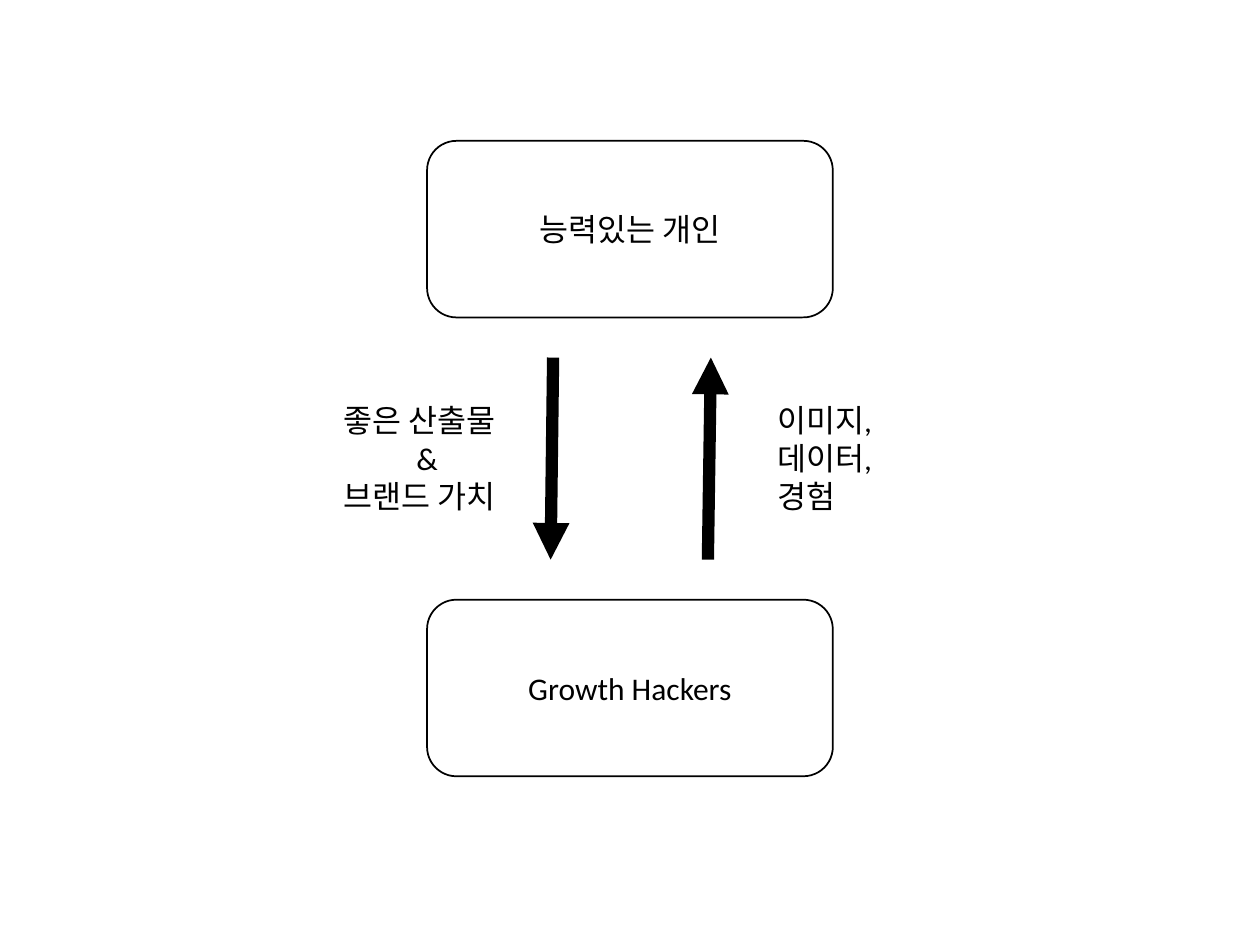
from pptx import Presentation
from pptx.dml.color import RGBColor
from pptx.enum.shapes import MSO_CONNECTOR, MSO_SHAPE
from pptx.enum.text import MSO_ANCHOR, PP_ALIGN
from pptx.oxml.ns import qn
from pptx.util import Cm, Pt
from lxml.etree import SubElement

THEME = {
    "font": "Calibri",
    "size": Pt(18),
    "ink": RGBColor(0, 0, 0),
    "paper": RGBColor(255, 255, 255),
    "outline": Pt(1),
    "arrow": Pt(7),
}
LEFT, CENTER = PP_ALIGN.LEFT, PP_ALIGN.CENTER

PARTIES = [("능력있는 개인", 2.84), ("Growth Hackers", 12.09)]
PARTY_LEFT, PARTY_WIDTH, PARTY_HEIGHT = 8.61, 8.18, 3.56

EXCHANGES = [
    {
        "lines": [("좋은 산출물", LEFT), ("&", CENTER), ("브랜드 가치", LEFT)],
        "left": 6.68, "width": 3.86,
        "top_x": 11.15, "bottom_x": 11.1, "downward": True,
    },
    {
        "lines": [("이미지,", LEFT), ("데이터,", LEFT), ("경험", LEFT)],
        "left": 15.42, "width": 2.74,
        "top_x": 14.33, "bottom_x": 14.27, "downward": False,
    },
]
GAP = 1.01
ARROW_TOP = PARTIES[0][1] + PARTY_HEIGHT + GAP * 0.8
ARROW_BOTTOM = PARTIES[1][1] - GAP * 0.8
LABEL_HEIGHT = 2.57
LABEL_TOP = (ARROW_TOP + ARROW_BOTTOM - LABEL_HEIGHT) / 2


def write(frame, lines, anchor=MSO_ANCHOR.TOP):
    frame.word_wrap = True
    frame.vertical_anchor = anchor
    for number, (text, align) in enumerate(lines):
        paragraph = frame.add_paragraph() if number else frame.paragraphs[0]
        paragraph.alignment = align
        run = paragraph.add_run()
        run.text = text
        run.font.name = THEME["font"]
        run.font.size = THEME["size"]
        run.font.color.rgb = THEME["ink"]


def draw_party(slide, name, top):
    party = slide.shapes.add_shape(
        MSO_SHAPE.ROUNDED_RECTANGLE,
        Cm(PARTY_LEFT), Cm(top), Cm(PARTY_WIDTH), Cm(PARTY_HEIGHT))
    party.shadow.inherit = False
    party.fill.solid()
    party.fill.fore_color.rgb = THEME["paper"]
    party.line.color.rgb = THEME["ink"]
    party.line.width = THEME["outline"]
    write(party.text_frame, [(name, CENTER)], anchor=MSO_ANCHOR.MIDDLE)


def draw_arrow(slide, start, end):
    arrow = slide.shapes.add_connector(
        MSO_CONNECTOR.STRAIGHT, *(Cm(value) for value in (*start, *end)))
    arrow.line.color.rgb = THEME["ink"]
    arrow.line.width = THEME["arrow"]
    SubElement(arrow.line._get_or_add_ln(), qn("a:tailEnd"), type="triangle")
    SubElement(arrow._element.spPr, qn("a:effectLst"))


def draw_exchange(slide, exchange):
    ends = [(exchange["top_x"], ARROW_TOP), (exchange["bottom_x"], ARROW_BOTTOM)]
    draw_arrow(slide, *(ends if exchange["downward"] else reversed(ends)))
    label = slide.shapes.add_textbox(
        Cm(exchange["left"]), Cm(LABEL_TOP),
        Cm(exchange["width"]), Cm(LABEL_HEIGHT))
    write(label.text_frame, exchange["lines"])


def main():
    deck = Presentation()
    deck.slide_width, deck.slide_height = Cm(25.4), Cm(19.05)
    slide = deck.slides.add_slide(deck.slide_layouts[6])
    for name, top in PARTIES:
        draw_party(slide, name, top)
    for exchange in EXCHANGES:
        draw_exchange(slide, exchange)
    deck.save("out.pptx")


if __name__ == "__main__":
    main()
